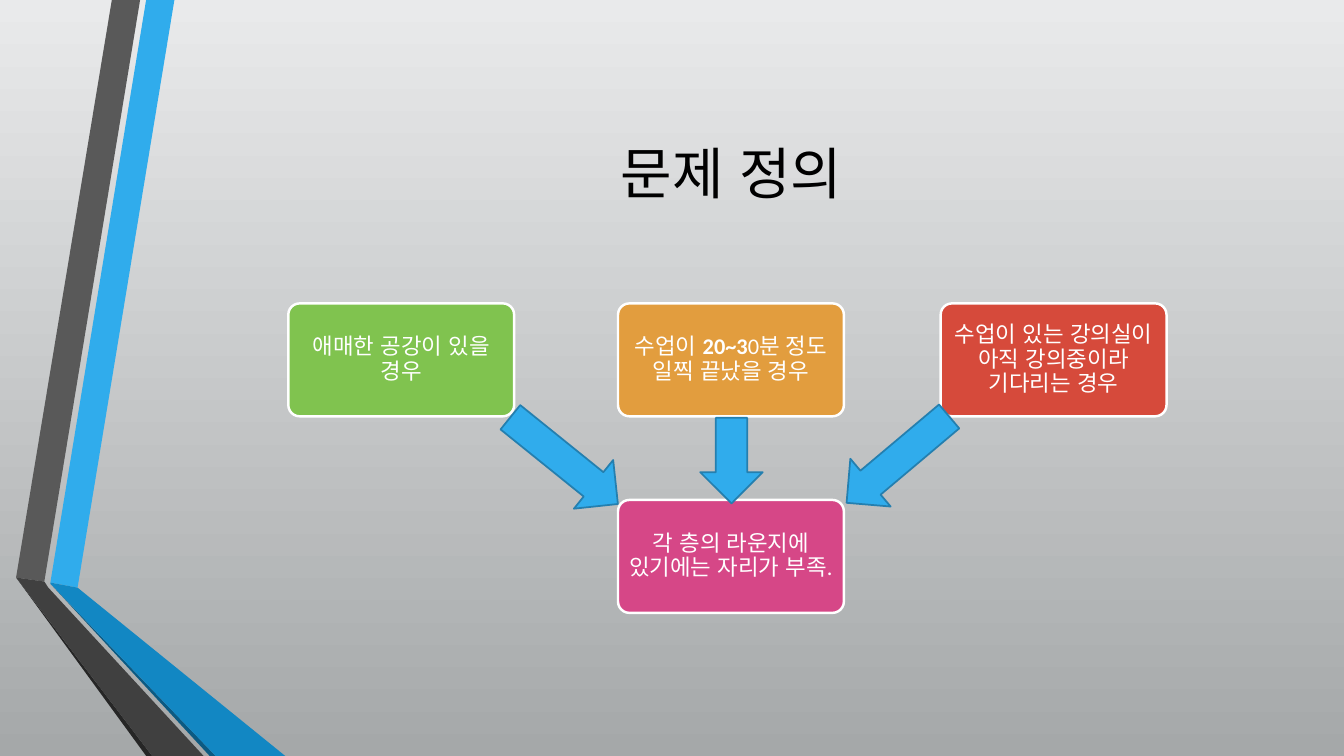
import pptx
import pptx.dml.color
import pptx.enum.lang
import pptx.enum.shapes
import pptx.enum.text
import pptx.util

Inches = pptx.util.Inches
Pt = pptx.util.Pt
Shapes = pptx.enum.shapes.MSO_SHAPE

COLORS = {
    "sky": "E9EAEB", "ground": "A5A8A9",
    "blue": "30ACEC", "blue_fold": "1287C3", "blue_edge": "0C5A82",
    "gray": "595959", "gray_fold": "404040", "gray_edge": "262626",
    "green": "80C34F", "orange": "E29D3E", "red": "D64A3B", "pink": "D64787",
    "arrow_line": "247FAF", "white": "FFFFFF", "black": "000000",
}

RIBBONS = [
    ("blue", [(0.5, 5.78), (0.77, 5.83), (1.73, 0), (1.45, 0)]),
    ("gray", [(1.39, 0), (1.11, 0), (0.16, 5.73), (0.44, 5.77)]),
    ("gray_edge", [(0.16, 5.73), (1.45, 7.5), (1.51, 7.5)]),
    ("blue_edge", [(0.5, 5.79), (2.08, 7.5), (2.14, 7.5)]),
    ("blue_fold", [(0.5, 5.79), (2.14, 7.5), (2.83, 7.5), (0.77, 5.83), (0.5, 5.78)]),
    ("gray_fold", [(2.02, 7.5), (0.48, 5.83), (0.44, 5.77), (0.16, 5.73), (1.51, 7.5)]),
]

# Left, top, colour and (text, bold) spans of each card
CARDS = [
    (2.86, 3.01, "green", [("애매한 공강이 있을 경우", False)]),
    (6.13, 3.01, "orange", [("수업이 ", False), ("20~3", True),
                            ("0분 정도 일찍 끝났을 경우", False)]),
    (9.33, 3.01, "red", [("수업이 있는 강의실이 아직 강의중이라 기다리는 경우", False)]),
    (6.13, 4.96, "pink", [("각 층의 라운지에 있기에는 자리가 부족.", False)]),
]

# Left, top, length and rotation of each arrow
ARROWS = [(4.91, 4.26, 1.37, 38.9), (6.83, 4.26, 0.85, 90), (8.24, 4.25, 1.33, 139.9)]


def rgb(name):
    return pptx.dml.color.RGBColor.from_string(COLORS[name])


class Painter:
    """Holds the style and the current slide."""
    font = "Calibri"
    card_size = (2.24, 1.12)
    arrow_height = 0.62

    def __init__(self, page):
        self.page = page

    def background(self, top, bottom):
        fill = self.page.background.fill
        fill.gradient()
        fill.gradient_angle = 270
        for stop, color, position in zip(fill.gradient_stops, (top, bottom), (0, 1)):
            stop.color.rgb = rgb(color)
            stop.position = position

    def paint(self, shape, color, line=None, width=0):
        shape.shadow.inherit = False
        shape.fill.solid()
        shape.fill.fore_color.rgb = rgb(color)
        if line:
            shape.line.color.rgb = rgb(line)
            shape.line.width = Pt(width)
        else:
            shape.line.fill.background()

    def ribbon(self, color, points):
        corners = [(Inches(x), Inches(y)) for x, y in points]
        builder = self.page.shapes.build_freeform(*corners[0])
        builder.add_line_segments(corners[1:], close=True)
        self.paint(builder.convert_to_shape(), color)

    def centered_text(self, box, spans, size, color):
        """Centre one paragraph of (text, bold) spans in the box."""
        frame = box.text_frame
        frame.word_wrap = True
        frame.vertical_anchor = pptx.enum.text.MSO_ANCHOR.MIDDLE
        para = frame.paragraphs[0]
        para.alignment = pptx.enum.text.PP_ALIGN.CENTER
        for text, bold in spans:
            span = para.add_run()
            span.text = text
            span.font.name = self.font
            span.font.size = Pt(size)
            span.font.bold = bold
            span.font.color.rgb = rgb(color)
            span.font.language_id = pptx.enum.lang.MSO_LANGUAGE_ID.KOREAN
        return para

    def title(self, text):
        box = self.page.shapes.add_textbox(
            Inches(1.93), Inches(0.75), Inches(10.65), Inches(1.92))
        self.centered_text(box, [(text, False)], 40, "black")

    def card(self, left, top, color, spans):
        width, height = self.card_size
        box = self.page.shapes.add_shape(
            Shapes.ROUNDED_RECTANGLE, Inches(left), Inches(top), Inches(width), Inches(height))
        box.adjustments[0] = 0.1
        self.paint(box, color, "white", 1.75)
        frame = box.text_frame
        frame.margin_left = frame.margin_right = Inches(0.03)
        frame.margin_top = frame.margin_bottom = Inches(0.03)
        self.centered_text(box, spans, 16, "white").line_spacing = 0.9

    def arrow(self, left, top, length, rotation):
        arrow = self.page.shapes.add_shape(
            Shapes.RIGHT_ARROW, Inches(left), Inches(top),
            Inches(length), Inches(self.arrow_height))
        arrow.rotation = rotation
        self.paint(arrow, "blue", "arrow_line", 1.25)


def main():
    deck = pptx.Presentation()
    deck.slide_width = Inches(13.33)
    deck.slide_height = Inches(7.5)
    painter = Painter(deck.slides.add_slide(deck.slide_layouts[6]))
    painter.background("sky", "ground")
    for ribbon in RIBBONS:
        painter.ribbon(*ribbon)
    painter.title("문제 정의")
    for card in CARDS:
        painter.card(*card)
    for arrow in ARROWS:
        painter.arrow(*arrow)
    deck.save("out.pptx")


if __name__ == "__main__":
    main()
